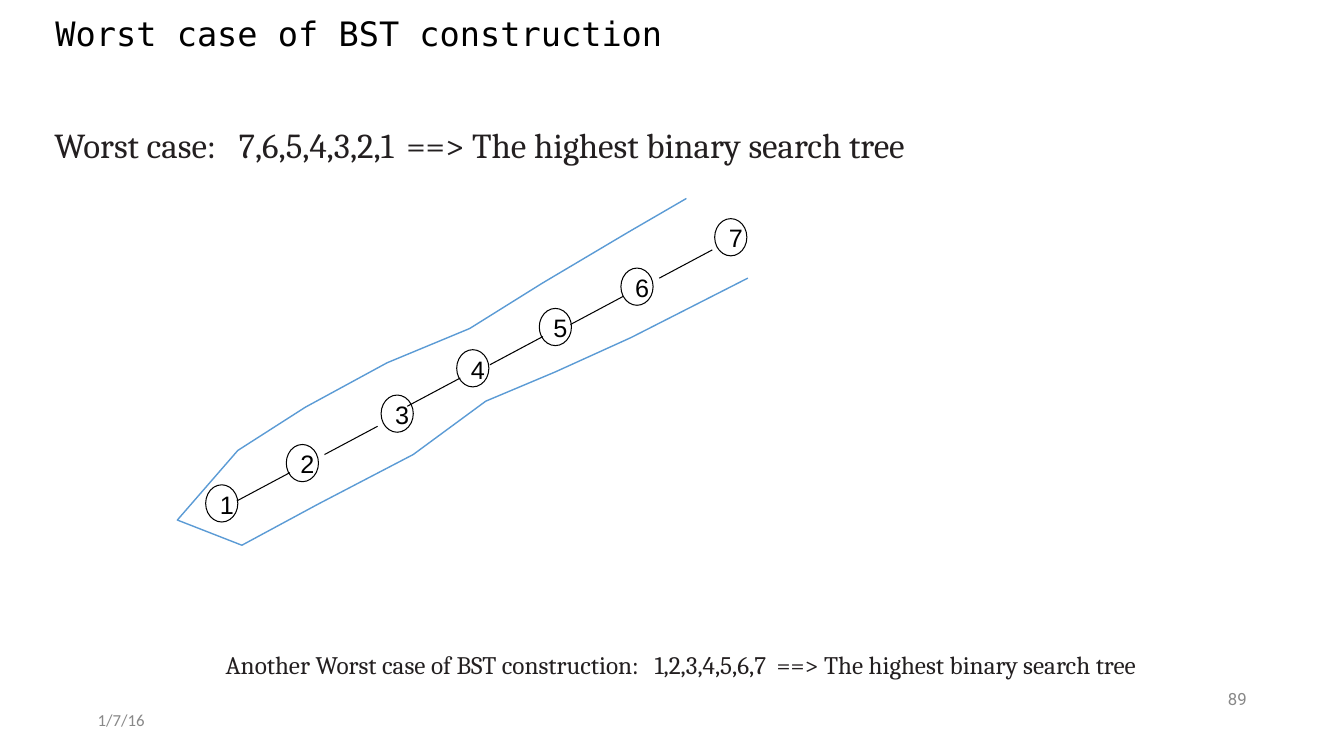
from lxml.etree import SubElement
from pptx import Presentation
from pptx.dml.color import RGBColor
from pptx.enum.shapes import MSO_CONNECTOR, MSO_SHAPE
from pptx.enum.text import MSO_ANCHOR, PP_ALIGN
from pptx.oxml.ns import qn
from pptx.util import Pt

BLACK = RGBColor(0x00, 0x00, 0x00)
INK = RGBColor(0x23, 0x1F, 0x20)
GRAY = RGBColor(0x88, 0x88, 0x88)
BLUE = RGBColor(0x5B, 0x9B, 0xD5)

NODES = [("7", 510.5, 156.2), ("6", 443.5, 191.5), ("5", 385.2, 220.3),
         ("4", 326.2, 249.8), ("3", 272.2, 282.2), ("2", 204.5, 317.5),
         ("1", 146.9, 346.3)]
EDGES = [(470.9, 198.7), (407.5, 231.8), (349.9, 260.6),
         (290.9, 290.2), (231.8, 324.7), (169.2, 357.8)]
EDGE_RUN, EDGE_RISE = 37.9, 20.2
NODE_WIDTH, NODE_HEIGHT = 23, 26.6
OUTLINE = [(490.3, 141.8), (449.3, 165.6), (387.4, 202.3), (335.5, 234.7),
           (276.5, 259.2), (218.2, 290.9), (169.9, 321.8), (126.7, 371.5),
           (172.8, 389.5), (227.5, 360), (295.2, 324.7), (347, 286.6),
           (396.7, 265.7), (450.7, 241.2), (534.2, 198.7)]


def write(shape, text, *, font, size, color=BLACK, align=PP_ALIGN.LEFT,
          anchor=MSO_ANCHOR.TOP, inset=3.6, spacing=1.0, tabs=()):
    frame = shape.text_frame
    frame.word_wrap = True
    frame.vertical_anchor = anchor
    frame.margin_left = frame.margin_right = Pt(inset)
    frame.margin_top = frame.margin_bottom = Pt(3.6)
    line = frame.paragraphs[0]
    line.alignment = align
    line.line_spacing = spacing
    run = line.add_run()
    run.text = text
    run.font.name = font
    run.font.size = Pt(size)
    run.font.color.rgb = color
    if tabs:
        stops = SubElement(line._p.get_or_add_pPr(), qn("a:tabLst"))
        for stop in tabs:
            SubElement(stops, qn("a:tab"), pos=str(Pt(stop)), algn="l")


def add_text(slide, text, left, top, width, height, **style):
    box = slide.shapes.add_textbox(Pt(left), Pt(top), Pt(width), Pt(height))
    write(box, text, **style)


def add_title(slide, text):
    title = slide.shapes.title
    title.left, title.top = Pt(36), Pt(5.8)
    title.width, title.height = Pt(606), Pt(36)
    write(title, text, font="DejaVu Sans Mono", size=24)


def add_node(slide, key, left, top):
    node = slide.shapes.add_shape(MSO_SHAPE.OVAL, Pt(left), Pt(top),
                                  Pt(NODE_WIDTH), Pt(NODE_HEIGHT))
    node.shadow.inherit = False
    node.fill.background()
    node.line.color.rgb = BLACK
    node.line.width = Pt(0.75)
    add_text(slide, key, left + 6.5, top - 0.6, 48, 27.4, font="Arial", size=18)


def add_edge(slide, left, low):
    edge = slide.shapes.add_connector(
        MSO_CONNECTOR.STRAIGHT, Pt(left), Pt(low),
        Pt(left + EDGE_RUN), Pt(low - EDGE_RISE))
    edge.line.color.rgb = BLACK
    edge.line.width = Pt(0.75)
    SubElement(edge._element.spPr, qn("a:effectLst"))


def add_outline(slide, points):
    first, *rest = [(Pt(x), Pt(y)) for x, y in points]
    pen = slide.shapes.build_freeform(*first)
    pen.add_line_segments(rest, close=False)
    outline = pen.convert_to_shape()
    outline.shadow.inherit = False
    outline.fill.background()
    outline.line.color.rgb = BLUE
    outline.line.width = Pt(1)


def main():
    deck = Presentation()
    deck.slide_width, deck.slide_height = Pt(960), Pt(540)
    slide = deck.slides.add_slide(deck.slide_layouts[5])

    add_title(slide, "Worst case of BST construction")
    add_text(slide, "Worst case:\t7,6,5,4,3,2,1\t==> The highest binary search tree",
             35.3, 85, 633.6, 37.4, font="Cambria", size=25, color=INK,
             tabs=(131.6, 251.4))
    for edge in EDGES:
        add_edge(slide, *edge)
    for node in NODES:
        add_node(slide, *node)
    add_outline(slide, OUTLINE)
    add_text(slide, "Another Worst case of BST construction:\t1,2,3,4,5,6,7\t"
             "==> The highest binary search tree",
             154.1, 460.1, 682.6, 28.8, font="Cambria", size=18, color=INK,
             inset=7.2, tabs=(306.4, 393.6))
    add_text(slide, "1/7/16", 66.2, 504, 216, 20.9, font="Calibri", size=12,
             color=GRAY, anchor=MSO_ANCHOR.MIDDLE)
    add_text(slide, "89", 678.2, 489.6, 216, 20.9, font="Roboto", size=12,
             color=GRAY, anchor=MSO_ANCHOR.MIDDLE, align=PP_ALIGN.RIGHT,
             spacing=0.9)
    deck.save("out.pptx")


if __name__ == "__main__":
    main()
